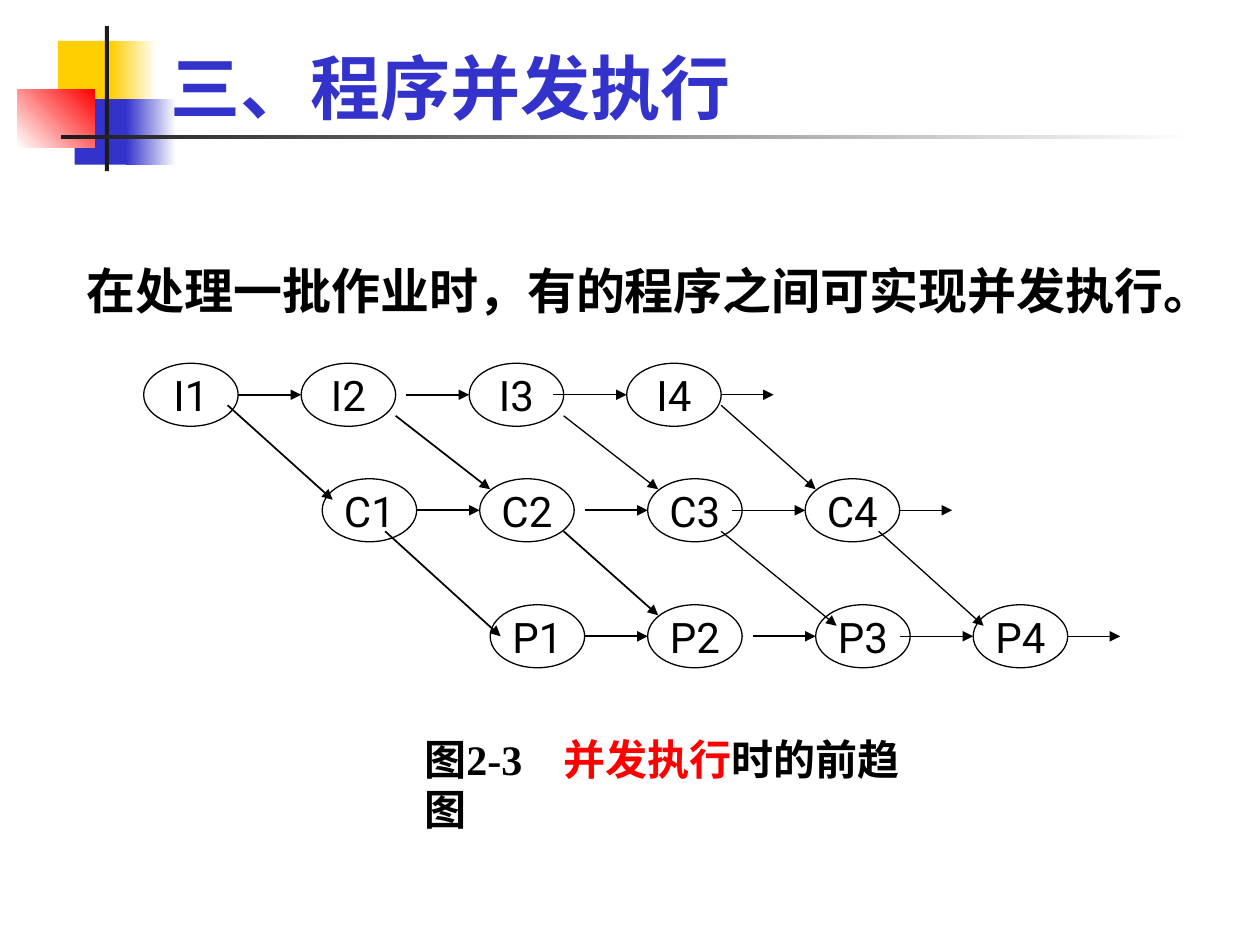
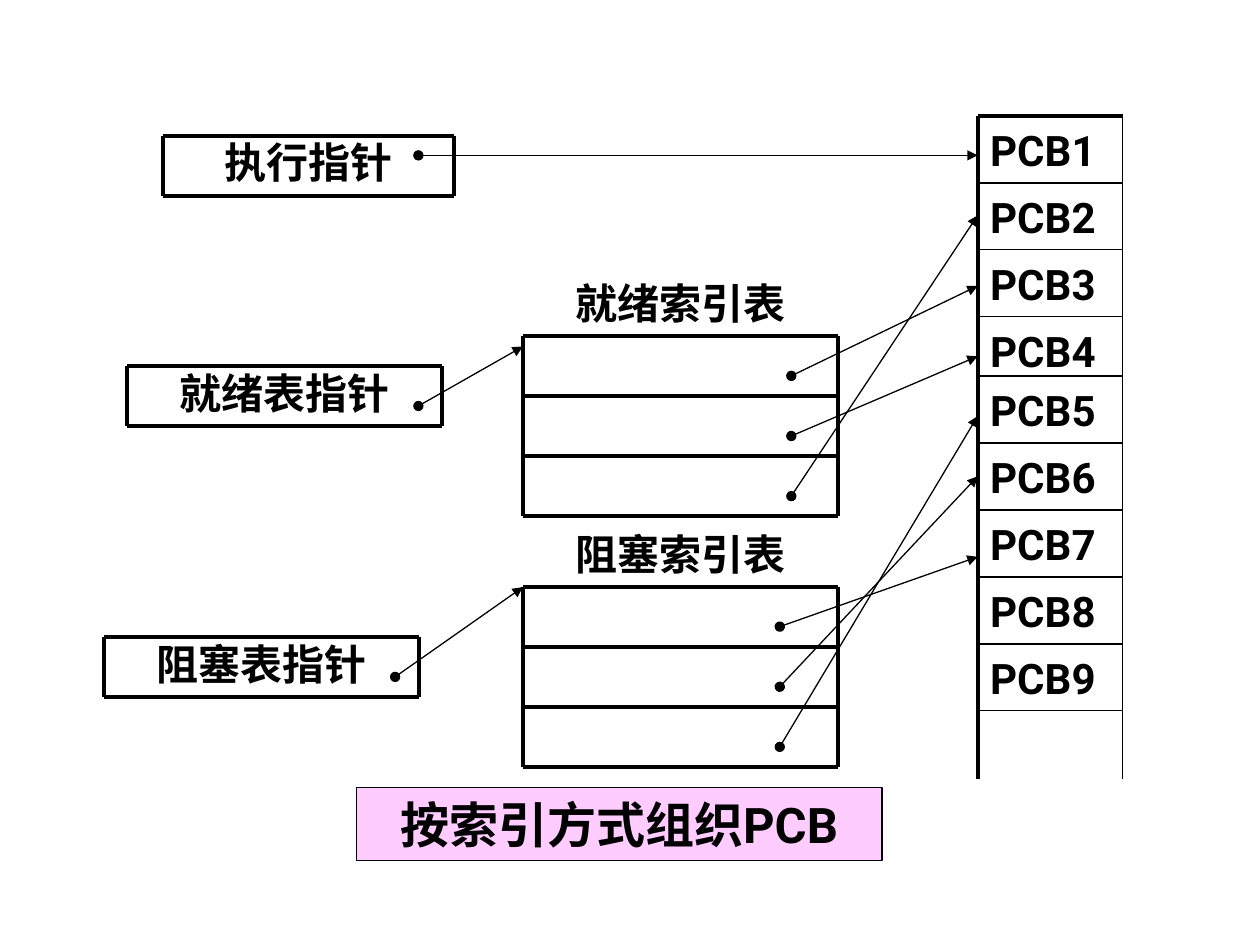
from dataclasses import dataclass
from itertools import accumulate

from lxml.etree import SubElement
from pptx import Presentation
from pptx.dml.color import RGBColor
from pptx.enum.shapes import MSO_CONNECTOR, MSO_SHAPE
from pptx.enum.text import MSO_ANCHOR, MSO_AUTO_SIZE, PP_ALIGN
from pptx.oxml.ns import qn
from pptx.util import Pt

STRAIGHT = MSO_CONNECTOR.STRAIGHT
RECT, OVAL = MSO_SHAPE.RECTANGLE, MSO_SHAPE.OVAL
MIDDLE, BOTTOM = MSO_ANCHOR.MIDDLE, MSO_ANCHOR.BOTTOM
LEFT, CENTER = PP_ALIGN.LEFT, PP_ALIGN.CENTER
NO_FIT = MSO_AUTO_SIZE.NONE


@dataclass(frozen=True)
class Theme:
    black: str = "000000"
    white: str = "FFFFFF"
    charcoal: str = "1C1C1C"
    blue: str = "3333CC"
    yellow: str = "FFCF01"
    red: str = "FF0000"
    pink: str = "FFCCFF"
    latin: str = "Roboto"
    serif: str = "Times New Roman"
    cjk: str = "Noto Sans CJK SC"
    title: int = 40
    heading: int = 28
    body: int = 24
    thin: float = 0.75
    medium: float = 1
    thick: float = 2.25


T = Theme()


def rgb(value):
    return RGBColor.from_string(value)


def points(*values):
    return [Pt(v) for v in values]


def style(p, size=T.body, color=T.black, bold=True, font=T.latin, align=LEFT):
    p.alignment = align
    p.font.size = Pt(size)
    p.font.bold = bold
    p.font.name = font
    p.font.color.rgb = rgb(color)
    SubElement(p._p.pPr.find(qn("a:defRPr")), qn("a:ea"), typeface=T.cjk)


def add_text(slide, box, text, top=3.6, **font):
    tf = slide.shapes.add_textbox(*points(*box)).text_frame
    tf.word_wrap = True
    tf.margin_top, tf.margin_bottom = points(top, 0)
    p = tf.paragraphs[0]
    p.text = text
    style(p, **font)


def add_shape(slide, kind, box, fill=None, line=None):
    sp = slide.shapes.add_shape(kind, *points(*box))
    sp.shadow.inherit = False
    if fill:
        sp.fill.solid()
        sp.fill.fore_color.rgb = rgb(fill)
    if line:
        sp.line.color.rgb = rgb(T.black)
        sp.line.width = Pt(line)
    else:
        sp.line.fill.background()
    return sp


def add_gradient(slide, box, start, end, angle=0):
    sp = add_shape(slide, RECT, box)
    sp.fill.gradient()
    sp.fill.gradient_angle = angle
    for stop, color in zip(sp.fill.gradient_stops, (start, end)):
        stop.color.rgb = rgb(color)


def add_label_shape(slide, kind, box, text, fill, **font):
    tf = add_shape(slide, kind, box, fill, T.thin).text_frame
    tf.margin_left = tf.margin_right = tf.margin_top = tf.margin_bottom = 0
    tf.word_wrap = False
    tf.vertical_anchor = MIDDLE
    p = tf.paragraphs[0]
    p.text = text
    style(p, align=CENTER, **font)


def add_line(slide, start, end, width=T.thin, head=None, tail=None):
    line = slide.shapes.add_connector(STRAIGHT, *points(*start, *end))
    line.line.color.rgb = rgb(T.black)
    line.line.width = Pt(width)
    ln = line._element.spPr.find(qn("a:ln"))
    for tag, kind in (("a:headEnd", head), ("a:tailEnd", tail)):
        if kind:
            SubElement(ln, qn(tag), type=kind)
    SubElement(line._element.spPr, qn("a:effectLst"))


def add_arrow(slide, start, end, width=T.thin, head=None):
    add_line(slide, start, end, width, head, "triangle")


def add_frame(slide, x, y, width, row, rows=1):
    bottom = y + row * rows
    for i in range(rows + 1):
        add_line(slide, (x, y + i * row), (x + width, y + i * row), T.thick)
    for side in (x, x + width):
        add_line(slide, (side, y), (side, bottom), T.thick)


def add_emblem(slide):
    add_shape(slide, RECT, (33.1, 23.3, 34.5, 37.4), T.yellow)
    add_gradient(slide, (63.4, 23.3, 26, 37.4), T.yellow, T.white)
    add_shape(slide, RECT, (42.7, 56.7, 33, 37.4), T.blue)
    add_gradient(slide, (72, 56.7, 28.8, 37.4), T.blue, T.white)
    add_gradient(slide, (10, 51, 44, 33.3), T.white, T.red, 45)
    add_shape(slide, RECT, (60, 15, 2.2, 82.8), T.charcoal)
    add_gradient(slide, (34.6, 77, 648, 2.2), T.charcoal, T.white)


def set_title(slide, text):
    title = slide.shapes.title
    title.left, title.top, title.width, title.height = points(90.4, 26.4, 501.8, 50.4)
    tf = title.text_frame
    tf.auto_size = NO_FIT
    tf.word_wrap = True
    tf.vertical_anchor = BOTTOM
    p = tf.paragraphs[0]
    p.text = text
    style(p, size=T.title, color=T.blue, font=T.cjk)
    title._element.getparent().append(title._element)


def add_precedence_graph(slide):
    node_w, node_h = 54, 36
    columns = (0, 90, 186, 276)
    stages = (("I", 82.1, 207.6), ("C", 184.1, 273.6), ("P", 280.1, 345.6))
    steps = ((54, 90, T.medium), (150, 186, T.medium),
             (234, 276, T.thin), (330, 360, T.thin))
    handoffs = (
        ((130.1, 231.6), (190.1, 285.6), T.medium),
        ((220.1, 303.6), (286.1, 363.6), T.medium),
        ((226.1, 237.6), (280.1, 279.6), T.medium),
        ((322.1, 303.6), (376.1, 351.6), T.medium),
        ((322.1, 237.6), (376.1, 279.6), T.thin),
        ((412.1, 303.6), (478.1, 357.6), T.thin),
        ((412.1, 231.6), (466.1, 279.6), T.thin),
        ((502.1, 303.6), (562.1, 357.6), T.thin),
    )
    for name, x, y in stages:
        for job, dx in enumerate(columns, 1):
            add_label_shape(slide, OVAL, (x + dx, y, node_w, node_h),
                            f"{name}{job}", T.white, bold=False)
        middle = y + node_h / 2
        for start, end, width in steps:
            add_arrow(slide, (x + start, middle), (x + end, middle), width)
    for start, end, width in handoffs:
        add_arrow(slide, start, end, width)


def add_caption(slide):
    tf = slide.shapes.add_textbox(*points(235.4, 415.4, 306, 36)).text_frame
    tf.word_wrap = True
    p = tf.paragraphs[0]
    tabs = SubElement(p._p.get_or_add_pPr(), qn("a:tabLst"))
    SubElement(tabs, qn("a:tab"), pos=str(Pt(79.5)), algn="l")
    for text, color in (("图2-3\t", T.black), ("并发执行", T.red), ("时的前趋图", T.black)):
        r = p.add_run()
        r.text = text
        r.font.color.rgb = rgb(color)
    style(p, font=T.serif)


def add_pcb_column(slide, x, y, width, bottom):
    heights = [38.2] * 3 + [34.2] + [38.2] * 5
    tops = list(accumulate(heights, initial=y))
    for n, (top, height) in enumerate(zip(tops, heights), 1):
        add_text(slide, (x, top, width, height), f"PCB{n}", top=5)
    for i, top in enumerate(tops):
        add_line(slide, (x, top), (x + width, top), T.medium if i else T.thick)
    add_line(slide, (x, y), (x, bottom), T.thick)
    add_line(slide, (x + width, y), (x + width, bottom), T.medium)


def build_concurrency(prs):
    slide = prs.slides.add_slide(prs.slide_layouts[5])
    add_emblem(slide)
    set_title(slide, "三、程序并发执行")
    add_precedence_graph(slide)
    add_text(slide, (42.5, 145.4, 661.7, 41), "在处理一批作业时，有的程序之间可实现并发执行。",
             size=T.heading)
    add_caption(slide)


def build_pcb_index(prs):
    slide = prs.slides.add_slide(prs.slide_layouts[6])
    row, cjk_top = 34.35, 0.8
    index_x, index_w, pcb_x = 298.8, 180, 558.7

    add_label_shape(slide, RECT, (203.8, 450, 300.2, 41.8), "按索引方式组织PCB",
                    T.pink, size=T.heading)

    pointers = (("执行指针", 93, 77.5, 166.4, (239.1, 88.8), (pcb_x, 88.8)),
                ("就绪表指针", 72.8, 209.2, 180, (239.1, 232), (index_x, 198)),
                ("阻塞表指针", 59.6, 363.8, 179.6, (225.8, 386.8), (index_x, 335.5)))
    indexes = (("就绪索引表", 192, 452.2, (163.4, 203.6, 123.1)),
               ("阻塞索引表", 335.3, 445.6, (318.2, 272.2, 237.8)))

    for _, _, _, _, start, end in pointers:
        add_arrow(slide, start, end, head="oval")
    for _, y, dot_x, targets in indexes:
        for i, target in enumerate(targets):
            add_arrow(slide, (dot_x, y + 22.8 + i * row), (pcb_x, target), head="oval")

    add_pcb_column(slide, pcb_x, 66.2, 82.8, 445)

    for text, x, y, width, _, _ in pointers:
        add_text(slide, (x, y, width, row), text, top=cjk_top, align=CENTER)
        add_frame(slide, x, y, width, row)
    for text, y, _, _ in indexes:
        add_text(slide, (index_x, y - row, index_w, row), text, top=cjk_top, align=CENTER)
        add_frame(slide, index_x, y, index_w, row, rows=3)


def main():
    prs = Presentation()
    prs.slide_width, prs.slide_height = points(720, 540)
    build_concurrency(prs)
    build_pcb_index(prs)
    prs.save("out.pptx")


if __name__ == "__main__":
    main()
